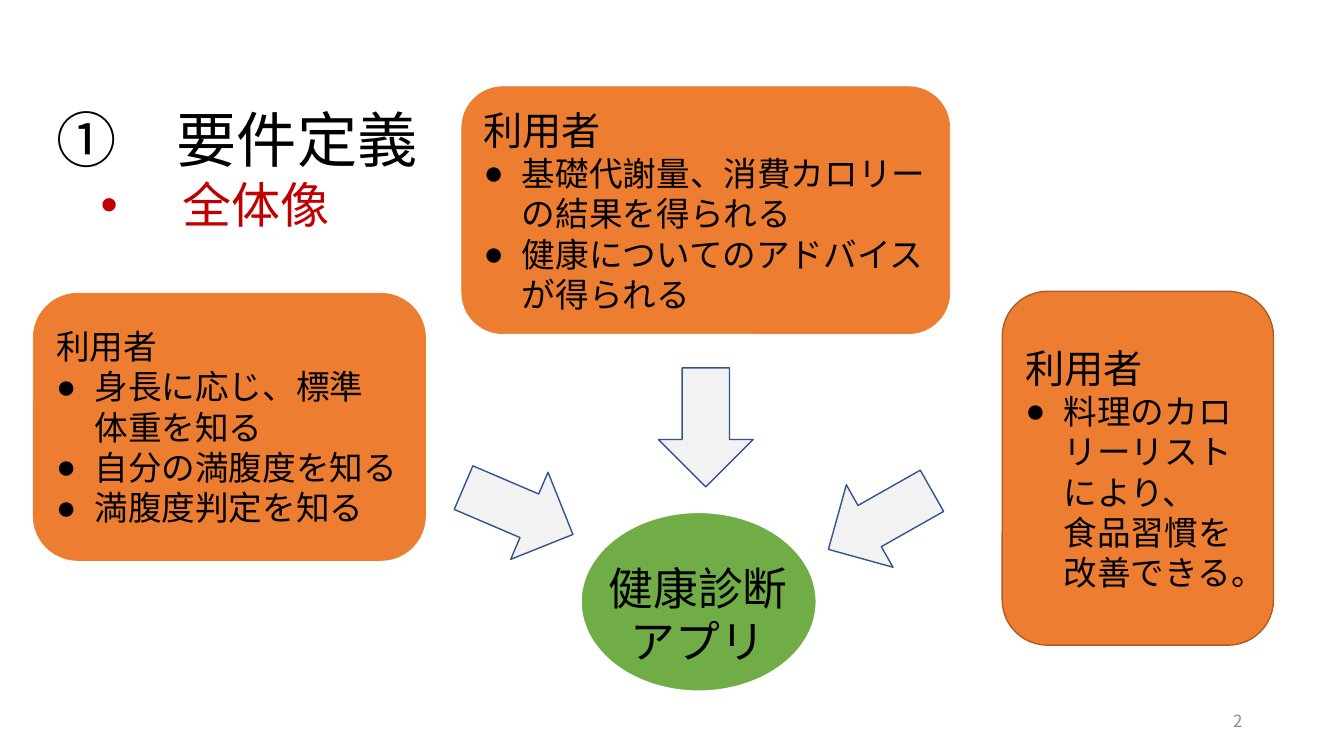
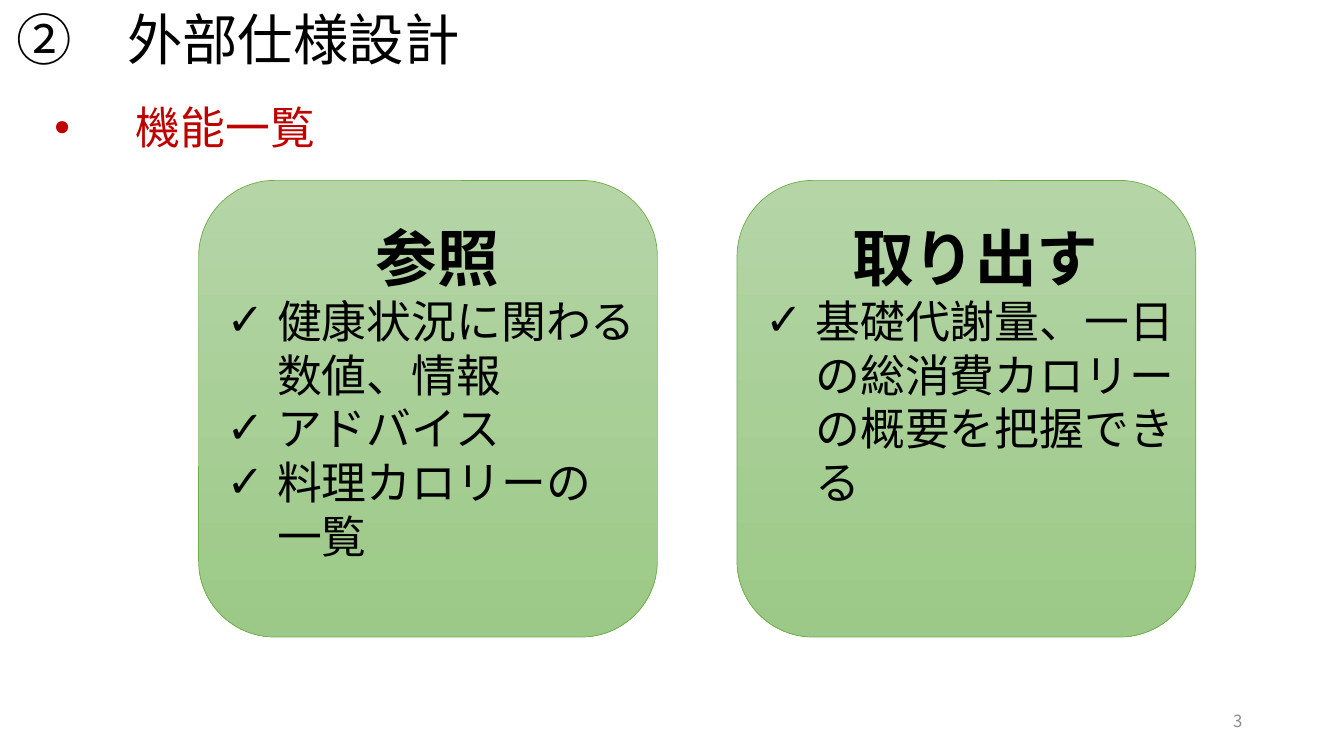
import pptx
import pptx.dml.color
import pptx.enum.shapes
import pptx.enum.text
import pptx.oxml
import pptx.oxml.ns
import pptx.util
from lxml import etree

Inches = pptx.util.Inches
SHAPE = pptx.enum.shapes.MSO_SHAPE
ALIGN = pptx.enum.text.PP_ALIGN
ANCHOR = pptx.enum.text.MSO_ANCHOR
qn = pptx.oxml.ns.qn

FONT = "Noto Sans CJK JP"
BULLET_FONT = "Arial"
COLORS = {
    "text": "000000",
    "accent": "C00000",
    "number": "8C8C8C",
    "orange": "ED7D31",
    "orange_dark": "AF5C24",
    "green": "70AD47",
    "green_top": "B5D5A7",
    "green_bottom": "9CC987",
    "arrow": "F2F2F2",
    "arrow_line": "325491",
    "white": "FFFFFF",
}


def rgb(name):
    return pptx.dml.color.RGBColor.from_string(COLORS[name])


def write(tf, text, size=24, color="text", bold=False, align=ALIGN.LEFT,
          font=FONT, spacing=None, bullet=None, left=0.38, hang=0.38):
    """Fill the frame's empty first paragraph, or append another one."""
    p = tf.paragraphs[0] if not tf.text else tf.add_paragraph()
    p.alignment = align
    if spacing:
        p.line_spacing = spacing
    r = p.add_run()
    r.text = text
    r.font.name = font
    r.font.size = pptx.util.Pt(size)
    r.font.bold = bold
    r.font.color.rgb = rgb(color)
    etree.SubElement(r.font._element, qn("a:ea")).set("typeface", FONT)
    if bullet:
        pPr = p._p.get_or_add_pPr()
        pPr.set("marL", str(Inches(left)))
        pPr.set("indent", str(-Inches(hang)))
        etree.SubElement(pPr, qn("a:buFont")).set("typeface", BULLET_FONT)
        etree.SubElement(pPr, qn("a:buChar")).set("char", bullet)


def add_text_box(s, x, y, w, h, anchor=ANCHOR.TOP):
    tf = s.shapes.add_textbox(*map(Inches, (x, y, w, h))).text_frame
    tf.word_wrap = True
    tf.vertical_anchor = anchor
    return tf


def add_shape(s, kind, x, y, w, h, fill, line, line_width):
    """Add a preset shape; a pair of fill colours runs from top to bottom."""
    sp = s.shapes.add_shape(kind, *map(Inches, (x, y, w, h)))
    sp.shadow.inherit = False
    if isinstance(fill, tuple):
        sp.fill.gradient()
        sp.fill.gradient_angle = 270
        for stop, color in zip(sp.fill.gradient_stops, fill):
            stop.color.rgb = rgb(color)
    else:
        sp.fill.solid()
        sp.fill.fore_color.rgb = rgb(fill)
    sp.line.color.rgb = rgb(line)
    sp.line.width = pptx.util.Pt(line_width)
    return sp


def add_title_slide(prs, number, title, title_size, subtitle, subtitle_size,
                    x, title_y, subtitle_y, left):
    """Add a slide with its heading, red bulleted subheading and page number."""
    s = prs.slides.add_slide(prs.slide_layouts[5])
    sp = s.shapes.title
    sp.left, sp.top, sp.width, sp.height = map(Inches, (x, title_y, 5, 0.9))
    tf = sp.text_frame
    tf.auto_size = pptx.enum.text.MSO_AUTO_SIZE.NONE
    tf.vertical_anchor = ANCHOR.TOP
    write(tf, title, size=title_size, spacing=0.9)

    tf = add_text_box(s, x, subtitle_y, 4, 0.7)
    write(tf, subtitle, size=subtitle_size, color="accent", font="Arial",
          spacing=0.9, bullet="•", left=left, hang=0.81)

    tf = add_text_box(s, 9.42, 6.95, 3, 0.4, ANCHOR.MIDDLE)
    write(tf, str(number), size=12, color="number", align=ALIGN.RIGHT)
    return s


def add_user_card(s, x, y, w, h, items, heading_size=28, line="orange",
                  line_width=0.5):
    sp = add_shape(s, SHAPE.ROUNDED_RECTANGLE, x, y, w, h,
                   "orange", line, line_width)
    tf = sp.text_frame
    tf.vertical_anchor = ANCHOR.MIDDLE
    write(tf, "利用者", size=heading_size)
    for item in items:
        write(tf, item, bullet="●")


def add_arrow(s, x, y, rotation):
    sp = add_shape(s, SHAPE.RIGHT_ARROW, x, y, 1.18, 0.94,
                   "arrow", "arrow_line", 1)
    sp.rotation = rotation


def add_function_card(s, x, heading, items):
    add_shape(s, SHAPE.ROUNDED_RECTANGLE, x, 1.79, 4.55, 4.53,
              ("green_top", "green_bottom"), "green", 0.5)
    tf = add_text_box(s, x + 0.18, 2.13, 4.37, 4.07)
    write(tf, heading, size=44, bold=True, align=ALIGN.CENTER)
    for item in items:
        write(tf, item, size=32, bullet="✓", left=0.5, hang=0.5)


def add_requirements_slide(prs):
    s = add_title_slide(prs, 2, "①　要件定義", 43, "全体像", 35,
                        x=0.46, title_y=1.05, subtitle_y=1.75, left=1.25)
    add_shape(s, SHAPE.OVAL, 5.76, 5.08, 2.34, 1.78, "green", "white", 1.5)
    tf = add_text_box(s, 5.82, 5.51, 2.21, 1.18)
    write(tf, "健康診断アプリ", size=32, align=ALIGN.CENTER)

    add_user_card(s, 0.33, 2.91, 3.89, 2.65,
                  ["身長に応じ、標準　体重を知る", "自分の満腹度を知る",
                   "満腹度判定を知る"], heading_size=24)
    add_user_card(s, 4.58, 0.86, 4.84, 2.45,
                  ["基礎代謝量、消費カロリーの結果を得られる",
                   "健康についてのアドバイスが得られる"])
    add_user_card(s, 9.94, 2.89, 2.69, 3.51,
                  ["料理のカロリーリストにより、　食品習慣を改善できる。"],
                  line="orange_dark", line_width=1)
    for x, y, rotation in ((4.55, 4.6, 23.2), (6.41, 3.77, 90),
                           (8.14, 4.69, 150.5)):
        add_arrow(s, x, y, rotation)


def add_functions_slide(prs):
    s = add_title_slide(prs, 3, "②　外部仕様設計", 39.6, "機能一覧", 32,
                        x=0.06, title_y=0.07, subtitle_y=1, left=1.19)
    add_function_card(s, 1.97, "参照",
                      ["健康状況に関わる数値、情報", "アドバイス",
                       "料理カロリーの　一覧"])
    add_function_card(s, 7.31, "取り出す",
                      ["基礎代謝量、一日の総消費カロリーの概要を把握できる"])


def main():
    prs = pptx.Presentation()
    prs.slide_width, prs.slide_height = Inches(13.33), Inches(7.5)
    add_requirements_slide(prs)
    add_functions_slide(prs)
    prs.save("out.pptx")


if __name__ == "__main__":
    main()
